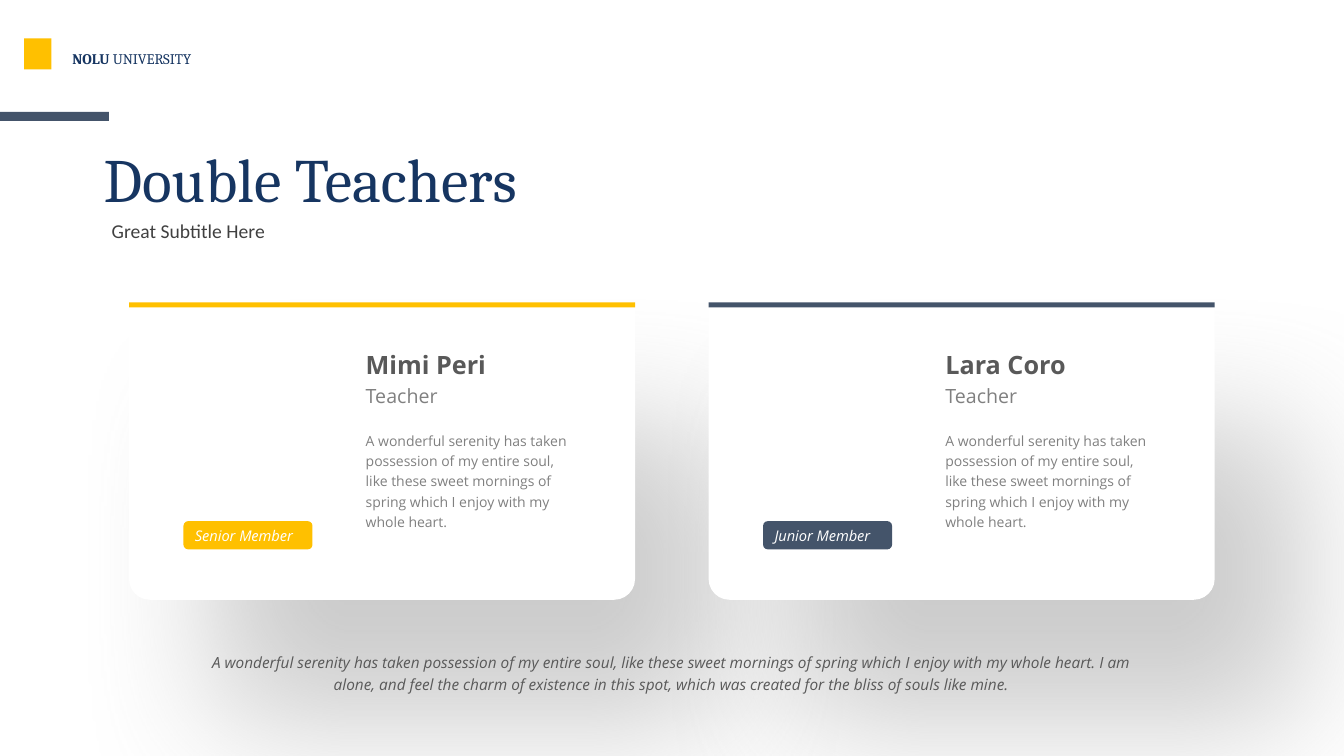
from lxml.etree import SubElement
from pptx import Presentation
from pptx.dml.color import RGBColor
from pptx.enum.shapes import MSO_SHAPE as Preset
from pptx.enum.text import MSO_ANCHOR as Anchor, MSO_AUTO_SIZE as AutoSize, PP_ALIGN as Align
from pptx.oxml.ns import qn
from pptx.util import Inches, Pt

COLORS = {"navy": "163561", "slate": "44546A", "gold": "FFC000", "white": "FFFFFF",
          "ink": "404040", "dark": "595959", "gray": "808080"}

# Grid of square cells, ten to the inch
CELL = Inches(0.1)
COLUMNS, ROWS = 133.33, 75

deck = Presentation()
deck.slide_width, deck.slide_height = int(COLUMNS * CELL), int(ROWS * CELL)
slide = deck.slides.add_slide(deck.slide_layouts[6])


def block(preset, col, row, cols, rows, color):
    """Plain filled shape placed on the grid."""
    shape = slide.shapes.add_shape(preset, *(int(n * CELL) for n in (col, row, cols, rows)))
    shape.fill.solid()
    shape.fill.fore_color.rgb = RGBColor.from_string(COLORS[color])
    shape.line.fill.background()
    shape.shadow.inherit = False
    return shape


def write(place, runs, color, font, size, spacing=1.0, align=Align.LEFT, **style):
    """Text in a shape, or in a new text box at (col, row, cols, rows)."""
    if isinstance(place, tuple):
        place = slide.shapes.add_textbox(*(int(n * CELL) for n in place))
        place.text_frame.auto_size = AutoSize.SHAPE_TO_FIT_TEXT
    frame = place.text_frame
    frame.word_wrap = True
    paragraph = frame.paragraphs[0]
    paragraph.alignment, paragraph.line_spacing = align, spacing
    for words, bold in runs:
        run = paragraph.add_run()
        run.text = words
        run.font.color.rgb = RGBColor.from_string(COLORS[color])
        for key, value in {"name": font, "size": Pt(size), "bold": bold, **style}.items():
            setattr(run.font, key, value)
    return frame


# Teacher cards: white panel with a wide soft shadow
CARD_LEFT, CARD_TOP, CARD_COLS, CARD_STEP = 12.8, 30, 50.2, 57.5
teachers = [("Mimi Peri", "Senior Member", "gold"), ("Lara Coro", "Junior Member", "slate")]
lefts = [CARD_LEFT + i * CARD_STEP for i in range(len(teachers))]
SHADOW = {"blurRad": Pt(100), "dist": Pt(107), "dir": 55 * 60000, "algn": "ctr", "rotWithShape": 0}
for left in lefts:
    card = block(Preset.ROUND_2_SAME_RECTANGLE, left, CARD_TOP, CARD_COLS, 29.5, "white")
    card.adjustments[0], card.adjustments[1] = 0, 0.07
    glow = SubElement(card._element.spPr.find(qn("a:effectLst")), qn("a:outerShdw"),
                      {key: str(value) for key, value in SHADOW.items()})
    tint = SubElement(glow, qn("a:srgbClr"), val=COLORS["gray"])
    SubElement(tint, qn("a:alpha"), val="40000")

# Heading
title = write((9.3, 12, 60.1, 11.3), [("Double Teachers", False)], "navy", "Cambria", 44)
title.auto_size = AutoSize.NONE
title.vertical_anchor = Anchor.MIDDLE
block(Preset.RECTANGLE, 0, 11.1, 10.8, 0.9, "slate")
write((10.1, 21.2, 36.2, 3.4), [("Great Subtitle Here", False)], "ink", "Calibri", 14)

# School name with a plain emblem
block(Preset.RECTANGLE, 2.4, 3.8, 2.7, 3.1, "gold")
write((6.2, 4.4, 15.1, 2.8), [("NOLU ", True), ("UNIVERSITY", False)], "navy", "Cambria", 10.5)

# Card contents
bio = ("A wonderful serenity has taken possession of my entire soul, like these sweet "
       "mornings of spring which I enjoy with my whole heart.")
for left, (teacher, rank, accent) in zip(lefts, teachers):
    block(Preset.RECTANGLE, left, CARD_TOP, CARD_COLS, 0.5, accent)
    column = left + 22.5
    write((column, 42.1, 22.9, 11), [(bio, False)], "gray", "Open Sans", 10, spacing=1.2)
    write((column, 34.2, 21.9, 4), [(teacher, True)], "dark", "Open Sans", 18)
    write((column, 37.6, 21.9, 3.4), [("Teacher", False)], "gray", "Open Sans", 14)
    badge = block(Preset.ROUNDED_RECTANGLE, left + 5.4, 51.7, 12.8, 2.8, accent)
    label = write(badge, [(rank, False)], "white", "Open Sans", 10.5, italic=True)
    label.vertical_anchor = Anchor.MIDDLE
    for side in ("left", "top", "right", "bottom"):
        setattr(label, f"margin_{side}", 0)
    label.paragraphs[0]._p.get_or_add_pPr().set("indent", str(CELL))

# Closing quote
quote = ("A wonderful serenity has taken possession of my entire soul, like these sweet "
         "mornings of spring which I enjoy with my whole heart. I am alone, and feel the charm "
         "of existence in this spot, which was created for the bliss of souls like mine.")
write((19.3, 63.9, 94.7, 5.3), [(quote, False)], "dark", "Open Sans", 11,
      spacing=1.2, align=Align.CENTER, italic=True)

deck.save("out.pptx")
